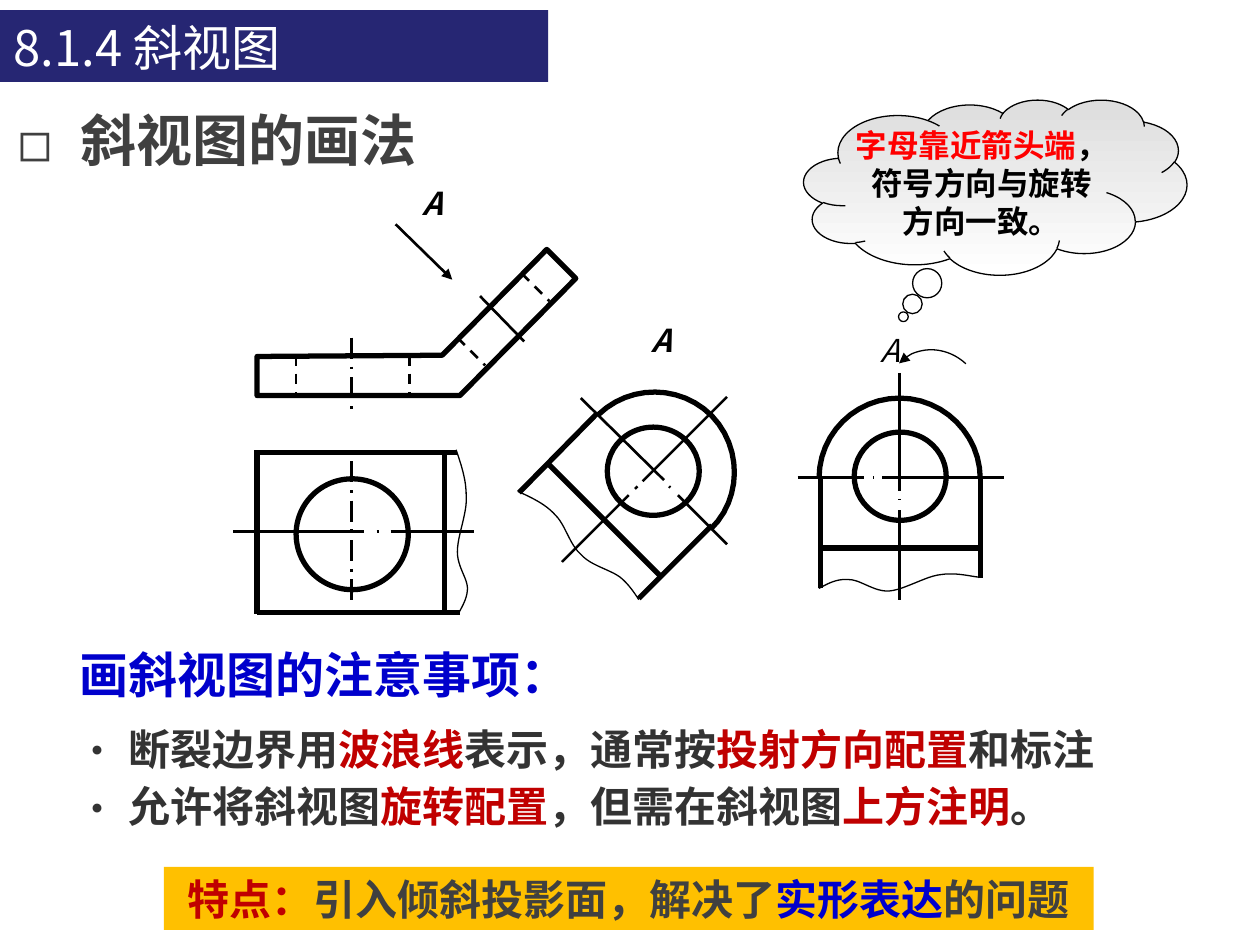
from typing import Any, NamedTuple, Optional

from lxml.etree import SubElement
from pptx import Presentation
from pptx.dml.color import RGBColor
from pptx.enum.dml import MSO_LINE as Dash
from pptx.enum.shapes import MSO_CONNECTOR as Link, MSO_SHAPE as Kind
from pptx.enum.text import MSO_ANCHOR as Anchor, MSO_AUTO_SIZE as Fit, PP_ALIGN as Align
from pptx.oxml.ns import qn
from pptx.util import Inches, Pt

FONT = "Noto Sans CJK SC"
WIDTH, HEIGHT = Inches(10), Inches(7.5)
COLUMNS, ROWS = 100, 75
BLACK, WHITE, GREY, DARK = "000000", "FFFFFF", "404040", "333333"
RED, BLUE, NAVY, AMBER = "C00000", "0000CC", "262673", "FFC000"
THICK, THIN, FINE = 3, 1.5, 0.75
STEPS = 12

Point = tuple[float, float]
Runs = list[tuple[str, str]]


class Cell(NamedTuple):
    """A frame in grid columns and rows."""
    left: float
    top: float
    width: float
    height: float


class Stroke(NamedTuple):
    """A straight line of the drawing."""
    start: Point
    end: Point
    weight: float = THICK
    dash: Optional[Any] = None
    arrow: bool = False


class Curve(NamedTuple):
    """A chain of cubic curves, three points for each after the first."""
    points: list[Point]
    weight: float = FINE


class Letter(NamedTuple):
    """A view letter."""
    cell: Cell
    bold: bool = True


STROKES = [
    Stroke((31.4, 17.8), (35.9, 22.2), THIN, arrow=True),
    Stroke((41.4, 21.7), (43.6, 23.9), THIN, Dash.DASH),
    Stroke((36.3, 26.8), (38.5, 29), THIN, Dash.DASH),
    Stroke((23.5, 28.2), (23.5, 31.2), THIN, Dash.DASH),
    Stroke((32.5, 28.2), (32.5, 31.6), THIN, Dash.DASH),
    Stroke((27.9, 26.8), (27.9, 32.8), THIN, Dash.LONG_DASH_DOT),
    Stroke((38.1, 23.5), (41.6, 27.1), THIN),
    Stroke((20.4, 48.6), (36.5, 48.6)),
    Stroke((20.4, 35.9), (36.3, 35.9)),
    Stroke((20.4, 48.7), (20.4, 35.7)),
    Stroke((35.3, 48.6), (35.3, 35.9)),
    Stroke((27.9, 36.6), (27.9, 47.9), THIN, Dash.LONG_DASH_DOT),
    Stroke((18.5, 42.2), (28.9, 42.2), THIN),
    Stroke((29.9, 42.2), (30.1, 42.2), THIN),
    Stroke((31, 42.2), (37.6, 42.2), THIN),
    Stroke((50.7, 47.5), (56.5, 41.7)),
    Stroke((41.2, 39.1), (47.4, 32.8)),
    Stroke((43.5, 36.8), (52.5, 45.8)),
    Stroke((57.7, 31.5), (51, 38.2), THIN),
    Stroke((50.6, 38.6), (50.4, 38.8), THIN),
    Stroke((49.9, 39.3), (44.6, 44.6), THIN),
    Stroke((46.1, 31.6), (52.7, 38.1), THIN),
    Stroke((53.1, 38.6), (53.2, 38.7), THIN),
    Stroke((53.8, 39.3), (57.7, 43.2), THIN),
    Stroke((65.1, 43.5), (77.8, 43.5)),
    Stroke((65.1, 46.7), (65.1, 37.9)),
    Stroke((77.8, 45.9), (77.8, 37.9)),
    Stroke((71.4, 29.6), (71.4, 39), THIN),
    Stroke((71.4, 39.6), (71.4, 39.7), THIN),
    Stroke((71.4, 40.5), (71.4, 47.6), THIN),
    Stroke((63.3, 37.9), (68.6, 37.9), THIN),
    Stroke((69.3, 37.9), (69.4, 37.9), THIN),
    Stroke((70, 37.9), (79.7, 37.9), THIN),
]
CURVES = [
    Curve([(47.5, 32.9), (50, 30.5), (54, 30.5), (56.5, 33),
           (58.9, 35.5), (58.9, 39.6), (56.4, 42)], THICK),
    Curve([(65, 38), (65, 34.4), (67.9, 31.6), (71.4, 31.6),
           (74.9, 31.6), (77.8, 34.5), (77.8, 38)], THICK),
    Curve([(41.1, 39), (42.2, 39.5), (43.3, 40), (44.1, 40.9), (44.9, 41.7), (45.2, 43.2),
           (46.1, 44), (46.9, 44.9), (48.4, 45.2), (49.2, 45.8), (50, 46.4), (50.7, 47.6),
           (50.7, 47.6)]),
    Curve([(36.2, 35.7), (36.6, 36.9), (37, 38), (37, 39.4), (37.1, 40.7), (36.3, 42.5),
           (36.3, 43.8), (36.3, 45), (37.1, 45.9), (37.1, 46.7), (37.1, 47.6), (36.5, 48.4),
           (36.4, 48.7)]),
    Curve([(65, 46.7), (65.7, 46.3), (66.5, 45.9), (67.4, 46), (68.3, 46), (69.4, 47),
           (70.6, 46.9), (71.8, 46.8), (73.5, 45.7), (74.7, 45.6), (75.9, 45.4),
           (77.3, 45.8), (77.7, 45.8)]),
]
BENT_PLATE = [(20.4, 31.4), (36.5, 31.4), (45.7, 22.1), (43.4, 19.8), (35.1, 28.2), (20.4, 28.3)]
HOLES = [Cell(48.2, 33.9, 7.3, 7), Cell(23.5, 38, 8.9, 8.8), Cell(67.8, 34.3, 7.3, 7)]
LETTERS = [Letter(Cell(51.9, 25.5, 1.3, 3)), Letter(Cell(33.7, 14.6, 1.3, 3)),
           Letter(Cell(69, 26.3, 3.3, 3), False)]
NOTES: list[Runs] = [
    [("断裂边界用", DARK), ("波浪线", RED), ("表示，通常按", DARK),
     ("投射方向配置", RED), ("和标注", DARK)],
    [("允许将斜视图", DARK), ("旋转配置", RED), ("，但需在斜视图", DARK),
     ("上方注明", RED), ("。", DARK)],
]
ADVICE: list[Runs] = [[("字母靠近箭头端", "FF0000"), ("，", BLACK)],
                      [("符号方向与旋转", BLACK)], [("方向一致。", BLACK)]]
FEATURE: list[Runs] = [[("特点：", RED), ("引入倾斜投影面，解决了", GREY),
                        ("实形表达", BLUE), ("的问题", GREY)]]
FLUSH = dict(margin_left=0, margin_right=0, margin_top=0, margin_bottom=0)


def colour(value: str) -> RGBColor:
    """Turn a hex string into a colour."""
    return RGBColor.from_string(value)


def spot(point: Point) -> tuple[int, int]:
    """Turn a grid point into slide lengths."""
    return round(point[0] * WIDTH / COLUMNS), round(point[1] * HEIGHT / ROWS)


def frame(cell: Cell) -> tuple[int, int, int, int]:
    """Turn a grid cell into slide lengths."""
    return spot(cell[:2]) + spot(cell[2:])


def assign(target: Any, values: dict[str, Any]) -> None:
    """Set each named attribute."""
    for name, value in values.items():
        setattr(target, name, value)


def write(holder: Any, lines: list[Runs], size: float, align: Any = Align.LEFT, bold: bool = True,
          italic: bool = False, gap: float = 0, bullet: str = "", indent: float = 0,
          **layout: Any) -> None:
    """Write coloured runs as paragraphs."""
    text = holder.text_frame
    assign(text, dict(auto_size=Fit.NONE, word_wrap=True) | layout)
    for number, runs in enumerate(lines):
        paragraph = text.add_paragraph() if number else text.paragraphs[0]
        assign(paragraph, dict(alignment=align, space_before=Pt(0), space_after=Pt(gap)))
        if bullet:
            props = paragraph._p.get_or_add_pPr()
            props.set("marL", str(Inches(indent)))
            props.set("indent", str(-Inches(indent)))
            SubElement(props, qn("a:buFont"), typeface=FONT)
            SubElement(props, qn("a:buChar"), char=bullet)
        for words, tint in runs:
            run = paragraph.add_run()
            run.text = words
            assign(run.font, dict(name=FONT, size=Pt(size), bold=bold, italic=italic))
            run.font.color.rgb = colour(tint)
            SubElement(run._r.get_or_add_rPr(), qn("a:ea"), typeface=FONT)


def ink(line: Any, weight: float) -> None:
    """Give a line its black ink and weight."""
    line.color.rgb = colour(BLACK)
    line.width = Pt(weight)


def block(shapes: Any, kind: Any, cell: Cell, fill: str = "", weight: float = 0) -> Any:
    """Add a preset shape without shadow."""
    shape = shapes.add_shape(kind, *frame(cell))
    shape.shadow.inherit = False
    if fill:
        shape.fill.solid()
        shape.fill.fore_color.rgb = colour(fill)
    else:
        shape.fill.background()
    if weight:
        ink(shape.line, weight)
    else:
        shape.line.fill.background()
    return shape


def draw_stroke(shapes: Any, stroke: Stroke) -> None:
    """Draw a straight line."""
    link = shapes.add_connector(Link.STRAIGHT, *spot(stroke.start), *spot(stroke.end))
    ink(link.line, stroke.weight)
    if stroke.dash:
        link.line.dash_style = stroke.dash
    if stroke.arrow:
        SubElement(link.line._get_or_add_ln(), qn("a:tailEnd"), type="triangle")
    SubElement(link._element.spPr, qn("a:effectLst"))


def draw_outline(shapes: Any, points: list[Point], weight: float, close: bool = False) -> None:
    """Draw an unfilled outline through the points."""
    builder = shapes.build_freeform(*spot(points[0]))
    builder.add_line_segments([spot(point) for point in points[1:]], close=close)
    outline = builder.convert_to_shape()
    outline.shadow.inherit = False
    outline.fill.background()
    ink(outline.line, weight)


def trace(curve: Curve) -> list[Point]:
    """Find points along a chain of cubic curves."""
    track = [curve.points[0]]
    for first in range(0, len(curve.points) - 1, 3):
        controls = curve.points[first:first + 4]
        for step in range(1, STEPS + 1):
            t = step / STEPS
            shares = ((1 - t) ** 3, 3 * t * (1 - t) ** 2, 3 * t * t * (1 - t), t ** 3)
            track.append(tuple(sum(s * p[axis] for s, p in zip(shares, controls))
                               for axis in (0, 1)))
    return track


def main() -> None:
    """Build the slide and save it."""
    deck = Presentation()
    assign(deck, dict(slide_width=WIDTH, slide_height=HEIGHT))
    slide = deck.slides.add_slide(deck.slide_layouts[3])
    shapes = slide.shapes
    title, topic, notes = list(slide.placeholders)[:3]
    for holder, cell in ((title, Cell(0.1, 0.8, 43.3, 5.8)), (topic, Cell(0.4, 7.9, 95.4, 6.7)),
                         (notes, Cell(5.1, 56.9, 91.7, 10.4))):
        assign(holder, dict(zip(("left", "top", "width", "height"), frame(cell))))
    write(title, [[("8.1.4 斜视图", WHITE)]], 28, bold=False, vertical_anchor=Anchor.BOTTOM)
    write(topic, [[("斜视图的画法", GREY)]], 32, bullet="◻", indent=0.5)
    write(notes, NOTES, 24, gap=4, bullet="•", indent=0.41)
    banner = block(shapes, Kind.RECTANGLE, Cell(0, 0.8, 43.5, 5.7), NAVY)
    title._element.addprevious(banner._element)

    heading = shapes.add_textbox(*frame(Cell(5.1, 50.7, 41.3, 5.7)))
    write(heading, [[("画斜视图的注意事项：", BLUE)]], 28, Align.CENTER, word_wrap=False)
    for letter in LETTERS:
        label = shapes.add_textbox(*frame(letter.cell))
        write(label, [[("A", BLACK)]], 18, Align.CENTER, letter.bold, True,
              word_wrap=False, **FLUSH)

    cloud = block(shapes, Kind.CLOUD_CALLOUT, Cell(63.8, 7.9, 30.4, 13.9), WHITE, FINE)
    cloud.adjustments[0], cloud.adjustments[1] = -0.24, 0.74
    cloud.fill.gradient()
    cloud.fill.gradient_angle = 270
    for stop, tint in zip(cloud.fill.gradient_stops, ("DDDDDD", WHITE)):
        stop.color.rgb = colour(tint)
    write(cloud, ADVICE, 18, Align.CENTER, word_wrap=False, vertical_anchor=Anchor.MIDDLE)

    turn = block(shapes, Kind.ARC, Cell(70.6, 27.6, 7.2, 7.8), weight=FINE)
    turn.rotation = 313.1
    SubElement(turn.line._get_or_add_ln(), qn("a:headEnd"), type="triangle")
    for stroke in STROKES:
        draw_stroke(shapes, stroke)
    for curve in CURVES:
        draw_outline(shapes, trace(curve), curve.weight)
    draw_outline(shapes, BENT_PLATE, THICK, close=True)
    for hole in HOLES:
        block(shapes, Kind.OVAL, hole, weight=THICK)

    feature = block(shapes, Kind.RECTANGLE, Cell(13, 68.8, 73.8, 5), AMBER)
    write(feature, FEATURE, 24, Align.CENTER, vertical_anchor=Anchor.MIDDLE)
    deck.save("out.pptx")


if __name__ == "__main__":
    main()
